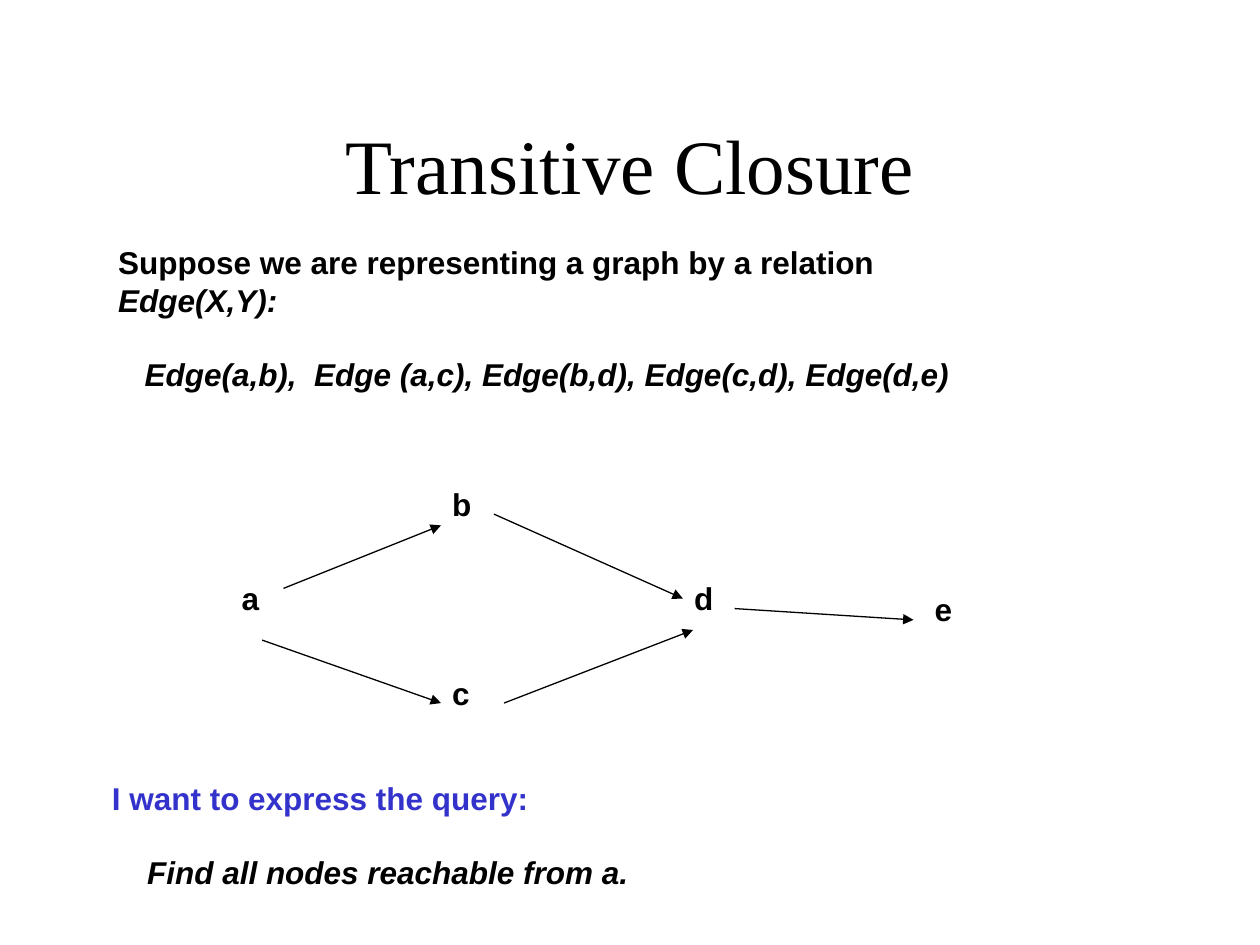
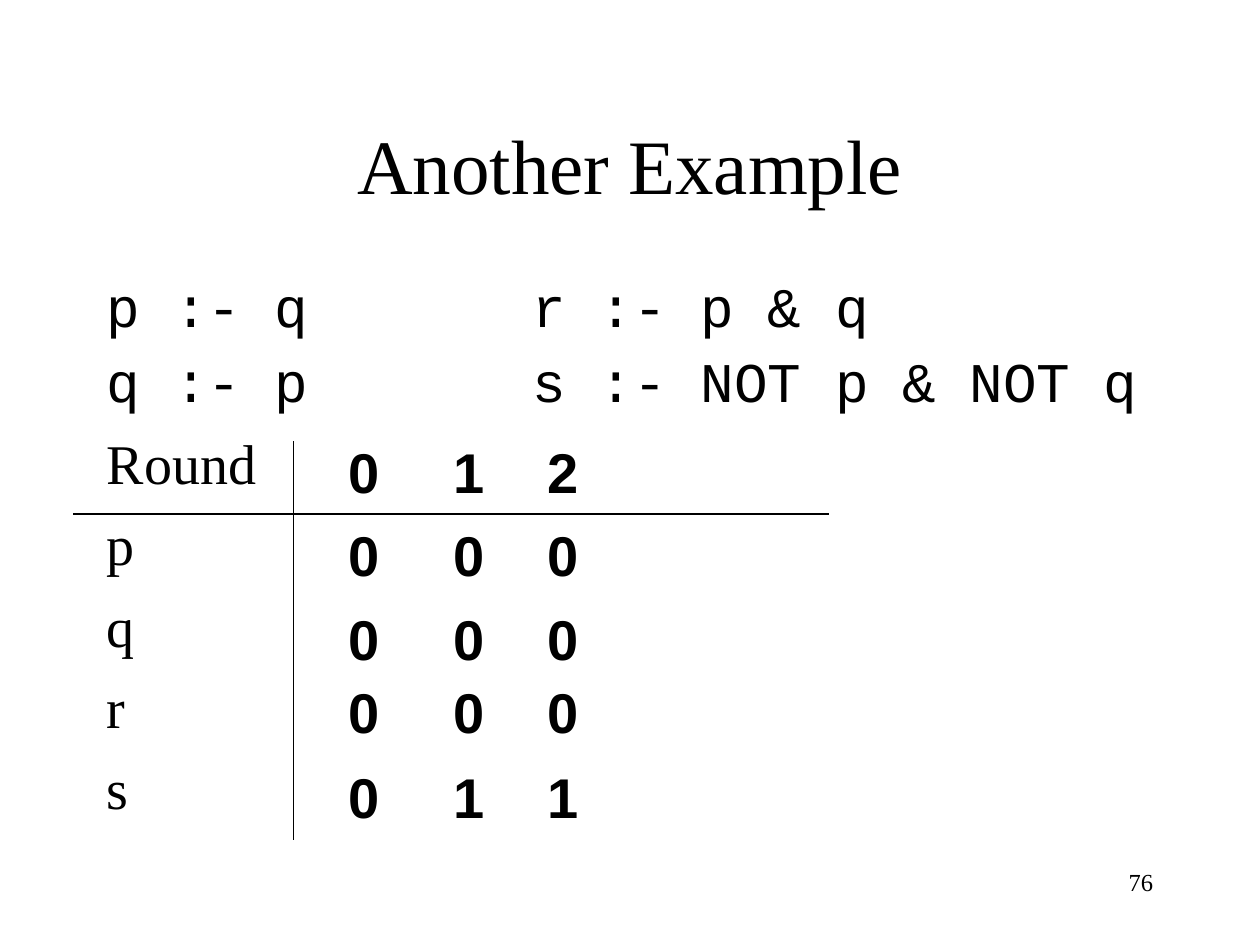
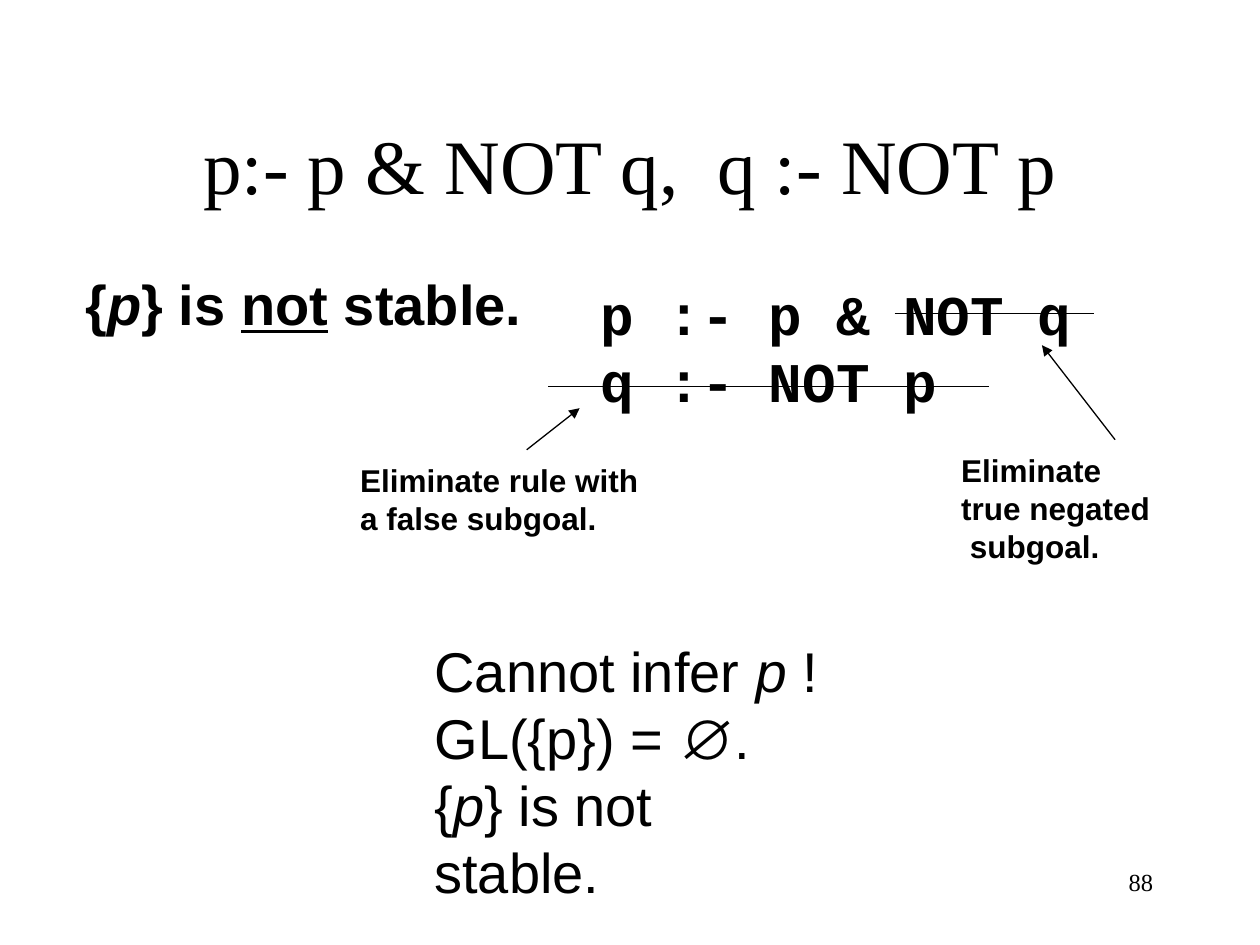
from pptx import Presentation
from pptx.dml.color import RGBColor
from pptx.enum.shapes import MSO_CONNECTOR
from pptx.enum.text import MSO_ANCHOR, MSO_AUTO_SIZE, PP_ALIGN
from pptx.oxml.ns import qn
from pptx.util import Inches, Pt
from lxml import etree

BLACK = RGBColor(0x00, 0x00, 0x00)
BLUE = RGBColor(0x33, 0x33, 0xCC)
SANS, SERIF, MONO = "Arial", "Times New Roman", "Courier New"
STRAIGHT = MSO_CONNECTOR.STRAIGHT
MIDDLE = MSO_ANCHOR.MIDDLE
GROW, FIXED = MSO_AUTO_SIZE.SHAPE_TO_FIT_TEXT, MSO_AUTO_SIZE.NONE
CENTER, RIGHT = PP_ALIGN.CENTER, PP_ALIGN.RIGHT


def write(slide, at, lines, size=18, font=SANS, bold=False, wrap=False):
    """Add a text box; in each line, every second part between bars is italic."""
    frame = slide.shapes.add_textbox(*map(Inches, at)).text_frame
    frame.word_wrap = wrap
    frame.auto_size = FIXED if wrap else GROW
    for i, line in enumerate(lines):
        para = frame.add_paragraph() if i else frame.paragraphs[0]
        for j, part in enumerate(line.split("|")):
            if part:
                run = para.add_run()
                run.text = part
                run.font.name, run.font.size = font, Pt(size)
                run.font.bold, run.font.italic = bold, j % 2 == 1
                run.font.color.rgb = BLACK
    return frame


def draw(slide, x1, y1, x2, y2, arrow=False):
    """Add a thin black line, with an arrowhead at its end if asked."""
    line = slide.shapes.add_connector(STRAIGHT, *map(Inches, (x1, y1, x2, y2)))
    line.line.color.rgb = BLACK
    line.line.width = Pt(0.75)
    if arrow:
        etree.SubElement(line.line._get_or_add_ln(), qn("a:tailEnd"), type="triangle")
    etree.SubElement(line._element.spPr, qn("a:effectLst"))


deck = Presentation()
deck.slide_width, deck.slide_height = Inches(10), Inches(7.5)

# Titles and page numbers
heads = [
    ("Transitive Closure", 0.75, None),
    ("Another Example", 0.75, "76"),
    ("p:- p & NOT q,  q :- NOT p", 0, "88"),
]
slides = []
for title, left, page in heads:
    slide = deck.slides.add_slide(deck.slide_layouts[6])
    slides.append(slide)
    at = (left, 0.67, 10 - 2 * left, 1.25)
    frame = write(slide, at, [title], 44, SERIF, wrap=True)
    frame.vertical_anchor = MIDDLE
    frame.paragraphs[0].alignment = CENTER
    if page:
        frame = write(slide, (7.17, 6.83, 2.08, 0.5), [page], 14, SERIF, wrap=True)
        frame.paragraphs[0].alignment = RIGHT
graph, rounds, stable = slides

# Graph: relation and query, each with an indented second line
fact = write(graph, (0.84, 1.88, 7.53, 1), [
    "Suppose we are representing a graph by a relation |Edge(X,Y):",
    "|Edge(a,b),  Edge (a,c), Edge(b,d), Edge(c,d), Edge(d,e)",
], bold=True)
query = write(graph, (0.79, 6.13, 4.3, 1), [
    "I want to express the query:",
    "|Find all nodes reachable from a.",
], bold=True)
query.paragraphs[0].runs[0].font.color.rgb = BLUE
for frame, indent in ((fact, 0.21), (query, 0.28)):
    para = frame.paragraphs[1]
    para.space_before = Pt(20.7)
    para._p.get_or_add_pPr().set("marL", str(Inches(indent)))

# Graph: nodes and edges
nodes = {"a": (1.82, 4.55), "b": (3.49, 3.8), "c": (3.49, 5.3),
         "d": (5.41, 4.55), "e": (7.32, 4.63)}
for name, (x, y) in nodes.items():
    write(graph, (x, y, 0.35, 0.4), [name], bold=True)
edges = [
    (2.25, 4.67, 3.5, 4.17),
    (2.08, 5.08, 3.5, 5.58),
    (3.92, 4.08, 5.42, 4.75),
    (4, 5.58, 5.5, 5),
    (5.83, 4.83, 7.25, 4.92),
]
for edge in edges:
    draw(graph, *edge, arrow=True)

# Rounds: rules and row names
rules = ["p :- q\tr :- p & q", "q :- p\ts :- NOT p & NOT q"]
names = ["Round", "p", "q", "r", "s"]
body = write(rounds, (0.75, 2.17, 8.5, 4.5), rules + names, 32, SERIF, wrap=True)
for i, para in enumerate(body.paragraphs):
    para.space_before = Pt(8)
    if i < len(rules):
        para.line_spacing = 0.9
        para.runs[0].font.name = MONO
        tabs = etree.SubElement(para._p.get_or_add_pPr(), qn("a:tabLst"))
        etree.SubElement(tabs, qn("a:tab"), pos=str(Inches(3.38)), algn="l")

# Rounds: values, one column per round
tops = [3.42, 4.08, 4.75, 5.33, 6]
for x, column in ((2.67, "00000"), (3.5, "10001"), (4.25, "20001")):
    for y, digit in zip(tops, column):
        write(rounds, (x, y, 0.45, 0.64), [digit], 32, bold=True)
draw(rounds, 0.58, 4.08, 6.58, 4.08)
draw(rounds, 2.33, 3.5, 2.33, 6.67)

# Stable: claim and rules
claim = write(stable, (0.58, 2.09, 3.66, 0.64), ["{|p|} is |not| stable."], 32, bold=True)
word = claim.paragraphs[0].runs[3].font
word.italic, word.underline = False, True
write(stable, (4.67, 2.17, 3.94, 1.17), ["p :- p & NOT q", "q :- NOT p"],
      32, MONO, bold=True)

# Stable: struck parts and their reasons
draw(stable, 4.35, 3.07, 7.85, 3.07)
draw(stable, 7.1, 2.49, 8.68, 2.49)
write(stable, (2.76, 3.61, 2.41, 0.7), ["Eliminate rule with", "a false subgoal."], bold=True)
note = write(stable, (7.53, 3.53, 1.7, 1), ["Eliminate", "true negated", "subgoal."], bold=True)
note.paragraphs[2]._p.get_or_add_pPr().set("marL", str(Inches(0.07)))
draw(stable, 4.18, 3.57, 4.6, 3.24, arrow=True)
draw(stable, 8.85, 3.49, 8.27, 2.74, arrow=True)

# Stable: conclusion
write(stable, (3.35, 5, 3.36, 1.7),
      ["Cannot infer |p |!", "GL({p}) = ∅.", "{|p|} is not stable."], 32)

deck.save("out.pptx")
